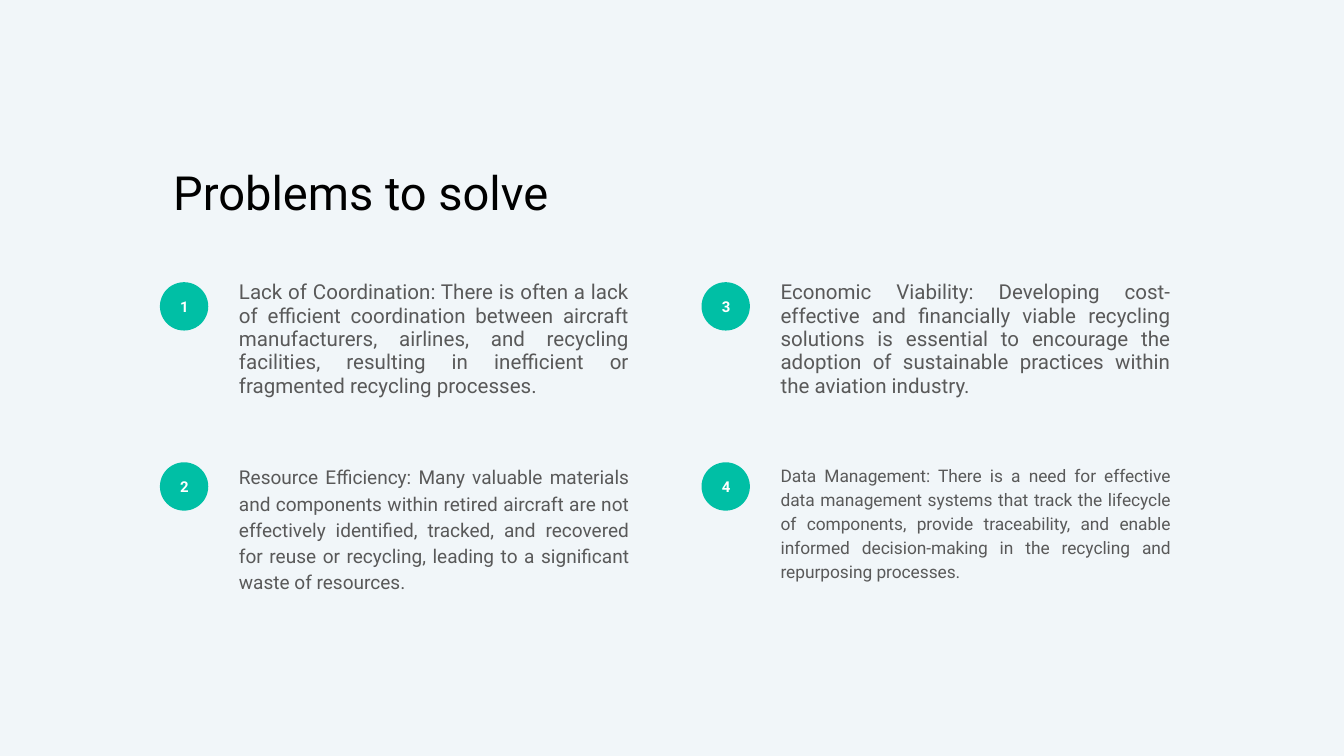
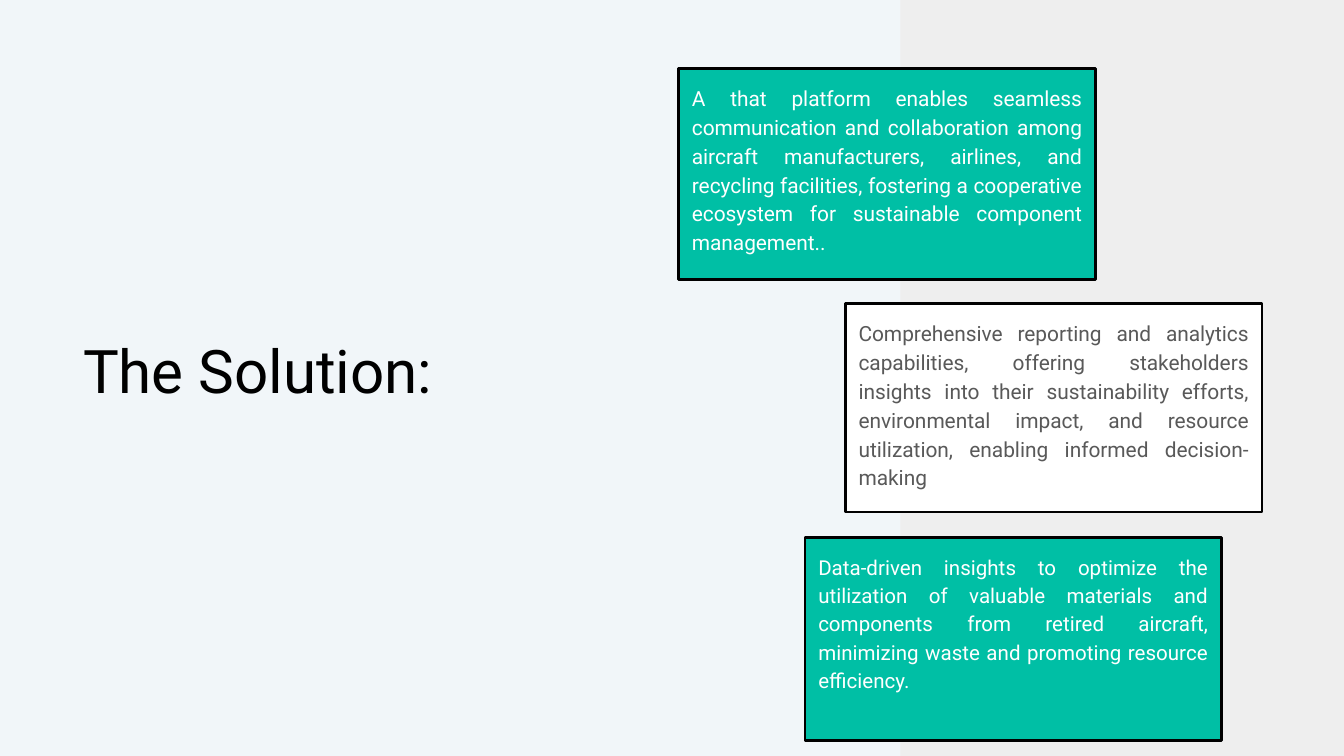
from pptx import Presentation
from pptx import util as u
from pptx.dml.color import RGBColor
from pptx.enum import shapes, text

HUES = {"back": "F1F6F9", "band": "EEEEEE", "teal": "00BFA5",
        "white": "FFFFFF", "black": "000000", "gray": "595959"}
FONT = "Roboto"
WIDE = 10
HIGH = WIDE * 9 / 16
KIND = shapes.MSO_SHAPE
SIDE = text.PP_ALIGN

deck = Presentation()
deck.slide_width = u.Inches(WIDE)
deck.slide_height = u.Inches(HIGH)


def shade(fill, hue):
    fill.solid()
    fill.fore_color.rgb = RGBColor.from_string(HUES[hue])


def write(page, box, words, size, hue, kind=None, fill=None, edge=None,
          bold=False, side=SIDE.JUSTIFY, gap=None, after=0, hold="TOP"):
    spot = [u.Inches(n) for n in box]
    if kind is None:
        item = page.shapes.add_textbox(*spot)
    else:
        item = page.shapes.add_shape(kind, *spot)
        item.shadow.inherit = False
        shade(item.fill, fill)
        if edge:
            shade(item.line.fill, edge)
            item.line.width = u.Pt(1.5)
        else:
            item.line.fill.background()
    frame = item.text_frame
    frame.word_wrap = True
    frame.vertical_anchor = text.MSO_ANCHOR[hold]
    frame.margin_left = frame.margin_right = u.Inches(0.1)
    frame.margin_top = frame.margin_bottom = u.Inches(0.1)
    if words:
        para = frame.paragraphs[0]
        para.alignment = side
        para.line_spacing = gap
        para.space_after = u.Pt(after)
        run = para.add_run()
        run.text = words
        run.font.name = FONT
        run.font.size = u.Pt(size)
        run.font.bold = bold
        run.font.color.rgb = RGBColor.from_string(HUES[hue])


pages = []
for name, size, box in [
    ("Problems to solve", 25.2, (1.19, 1.12, 9.32, 0.63)),
    ("The Solution:", 32.2, (0.52, 2.38, 3.2, 0.88)),
]:
    page = deck.slides.add_slide(deck.slide_layouts[6])
    shade(page.background.fill, "back")
    if pages:
        write(page, (WIDE * 0.67, 0, WIDE * 0.33, HIGH), "", 0, "black",
              KIND.RECTANGLE, "band")
    write(page, box, name, size, "black", side=SIDE.LEFT)
    pages.append(page)

issues = [
    ("Lack of Coordination: There is often a lack of efficient coordination "
     "between aircraft manufacturers, airlines, and recycling facilities, "
     "resulting in inefficient or fragmented recycling processes.", 11, 0.95),
    ("Resource Efficiency: Many valuable materials and components within "
     "retired aircraft are not effectively identified, tracked, and recovered "
     "for reuse or recycling, leading to a significant waste of resources.",
     10.2, 1.15),
    ("Economic Viability: Developing cost-effective and financially viable "
     "recycling solutions is essential to encourage the adoption of "
     "sustainable practices within the aviation industry.", 11, 0.95),
    ("Data Management: There is a need for effective data management systems "
     "that track the lifecycle of components, provide traceability, and enable "
     "informed decision-making in the recycling and repurposing processes.",
     9.3, 1.15),
]
for i, (words, size, gap) in enumerate(issues):
    col, row = divmod(i, 2)
    left = 1.19 + col * 4.03
    top = 2.1 + row * 1.34
    write(pages[0], (left, top, 0.36, 0.36), str(i + 1), 8, "white",
          KIND.OVAL, "teal", bold=True, hold="MIDDLE")
    write(pages[0], (left + 0.49, 1.99 + row * 1.35, 3.1, 1.15), words, size,
          "gray", gap=gap, after=12)

cards = [
    ("A that platform enables seamless communication and collaboration among "
     "aircraft manufacturers, airlines, and recycling facilities, fostering a "
     "cooperative ecosystem for sustainable component management..",
     11.2, 5.05, 0.51, 1.57, "teal", "white"),
    ("Comprehensive reporting and analytics capabilities, offering stakeholders "
     "insights into their sustainability efforts, environmental impact, and "
     "resource utilization, enabling informed decision-making",
     11.2, 6.29, 2.26, 1.55, "white", "gray"),
    ("Data-driven insights to optimize the utilization of valuable materials "
     "and components from retired aircraft, minimizing waste and promoting "
     "resource efficiency.", 11, 5.99, 4, 1.51, "teal", "white"),
]
for words, size, left, top, tall, fill, hue in cards:
    write(pages[1], (left, top, 3.1, tall), words, size, hue,
          KIND.RECTANGLE, fill, "black", gap=1.15, after=12)

deck.save("out.pptx")
